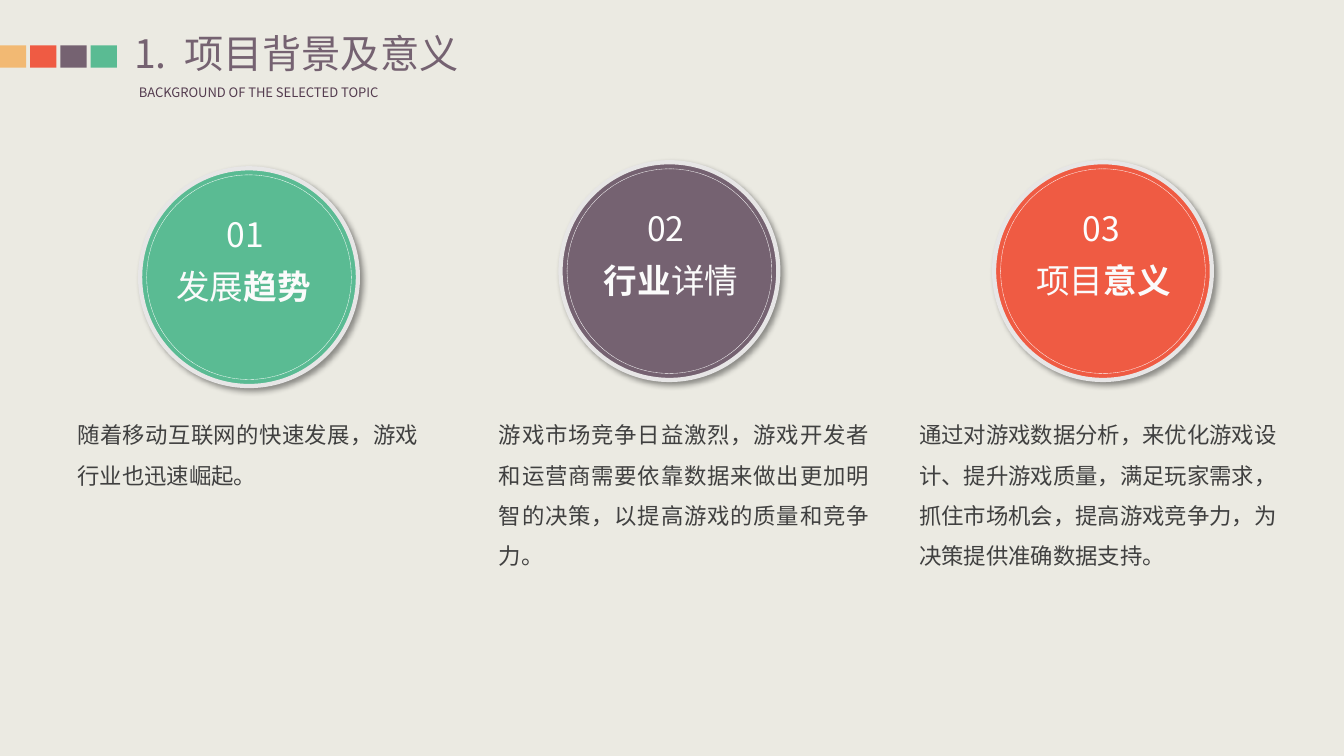
from pptx import Presentation
from pptx.dml.color import RGBColor
from pptx.enum.dml import MSO_LINE
from pptx.enum.shapes import MSO_SHAPE
from pptx.enum.text import MSO_AUTO_SIZE, PP_ALIGN
from pptx.oxml import parse_xml
from pptx.oxml.ns import nsdecls, qn
from pptx.util import Inches, Pt
from lxml.etree import SubElement

THEME = {
    "font": "Noto Sans CJK SC",
    "background": "EBEAE2", "amber": "F2B973", "red": "EF5B43",
    "plum": "756271", "green": "5ABB93", "rim": "E7E6E6", "dashes": "FEFEFE",
    "topic": "FBFBFB", "number": "FDFDFD", "subtitle": "543C4F", "body": "404040",
    "title_size": 28, "subtitle_size": 9.3, "badge_size": 24, "body_size": 16,
}

# Content
HEADING_NUMBER, HEADING = "1.", "项目背景及意义"
SUBTITLE = "BACKGROUND OF THE SELECTED TOPIC"
STRIPE = ["amber", "red", "plum", "green"]
# Topic runs are (wording, bold); badge is left, top; lefts are for topic and number
TOPICS = [
    {"number": "01", "topic": [("发展", False), ("趋势", True)], "color": "green",
     "badge": (1.39, 1.67), "lefts": (1.65, 2.15),
     "body": "随着移动互联网的快速发展，游戏行业也迅速崛起。",
     "body_box": (0.67, 4, 3.58, 0.86), "align": PP_ALIGN.JUSTIFY},
    {"number": "02", "topic": [("行业", True), ("详情", False)], "color": "plum",
     "badge": (5.56, 1.61), "lefts": (5.89, 6.32),
     "body": "游戏市场竞争日益激烈，游戏开发者和运营商需要依靠数据来做出更加明智的决策，"
             "以提高游戏的质量和竞争力。",
     "body_box": (4.85, 4, 3.87, 1.67), "align": PP_ALIGN.JUSTIFY},
    {"number": "03", "topic": [("项目", False), ("意义", True)], "color": "red",
     "badge": (9.86, 1.61), "lefts": (10.18, 10.64),
     "body": "通过对游戏数据分析，来优化游戏设计、提升游戏质量，满足玩家需求，"
             "抓住市场机会，提高游戏竞争力，为决策提供准确数据支持。",
     "body_box": (9.02, 4, 3.87, 1.67), "align": PP_ALIGN.LEFT},
]
BADGE, RING = 2.16, 2.03

deck = Presentation()
deck.slide_width, deck.slide_height = Inches(13.33), Inches(7.5)
slide = deck.slides.add_slide(deck.slide_layouts[6])


def color(name):
    return RGBColor.from_string(THEME[name])


slide.background.fill.solid()
slide.background.fill.fore_color.rgb = color("background")


def add_text(runs, box, size, color_name, wrap=False):
    """Place one paragraph of (wording, bold) runs and return its frame."""
    frame = slide.shapes.add_textbox(*map(Inches, box)).text_frame
    frame.word_wrap = wrap
    frame.auto_size = MSO_AUTO_SIZE.SHAPE_TO_FIT_TEXT
    paragraph = frame.paragraphs[0]
    font = paragraph.font
    font.size, font.name = Pt(THEME[size]), THEME["font"]
    font.color.rgb = color(color_name)
    east_asian = SubElement(paragraph._p.pPr.find(qn("a:defRPr")), qn("a:ea"))
    east_asian.set("typeface", THEME["font"])
    for wording, bold in runs:
        run = paragraph.add_run()
        run.text, run.font.bold = wording, bold
    return frame


def add_form(preset, box, fill=None):
    form = slide.shapes.add_shape(preset, *map(Inches, box))
    form.shadow.inherit = False
    if fill:
        form.fill.solid()
        form.fill.fore_color.rgb = color(fill)
    else:
        form.fill.background()
    form.line.fill.background()
    return form


def outline(form, color_name, width):
    form.line.color.rgb = color(color_name)
    form.line.width = Pt(width)


def cast_shadow(form):
    form._element.spPr.find(qn("a:effectLst")).append(parse_xml(
        f'<a:outerShdw {nsdecls("a")} blurRad="{Pt(4)}" dist="{Pt(3)}" '
        f'dir="{45 * 60000}" algn="tl" rotWithShape="0"><a:srgbClr val="000000">'
        '<a:alpha val="40000"/></a:srgbClr></a:outerShdw>'))


# Header stripe
for i, name in enumerate(STRIPE):
    add_form(MSO_SHAPE.RECTANGLE, (i * 0.3, 0.45, 0.26, 0.22), name)

# Badges with their descriptions
for item in TOPICS:
    left, top = item["badge"]
    badge = add_form(MSO_SHAPE.OVAL, (left, top, BADGE, BADGE), item["color"])
    outline(badge, "rim", 3)
    cast_shadow(badge)
    inset = (BADGE - RING) / 2
    ring = add_form(MSO_SHAPE.OVAL, (left + inset, top + inset, RING, RING))
    outline(ring, "dashes", 0.25)
    ring.line.dash_style = MSO_LINE.SQUARE_DOT

    topic_left, number_left = item["lefts"]
    add_text(item["topic"], (topic_left, top + 0.92, 1.55, 0.5), "badge_size", "topic")
    add_text([(item["number"], False)], (number_left, top + 0.4, 0.6, 0.5),
             "badge_size", "number")
    body = add_text([(item["body"], False)], item["body_box"],
                    "body_size", "body", wrap=True).paragraphs[0]
    body.alignment, body.line_spacing = item["align"], 1.5

# Titles
add_text([(SUBTITLE, False)], (1.28, 0.79, 2.73, 0.26), "subtitle_size", "subtitle")
title = add_text([(HEADING_NUMBER, False), (" ", False), (HEADING, False)],
                 (1.33, 0.29, 3.99, 0.47), "title_size", "plum", wrap=True)
title.margin_left = title.margin_right = title.margin_top = title.margin_bottom = 0
# Widen the gap after the heading number by letter spacing
title.paragraphs[0].runs[1].font._element.set("spc", "630")

deck.save("out.pptx")
